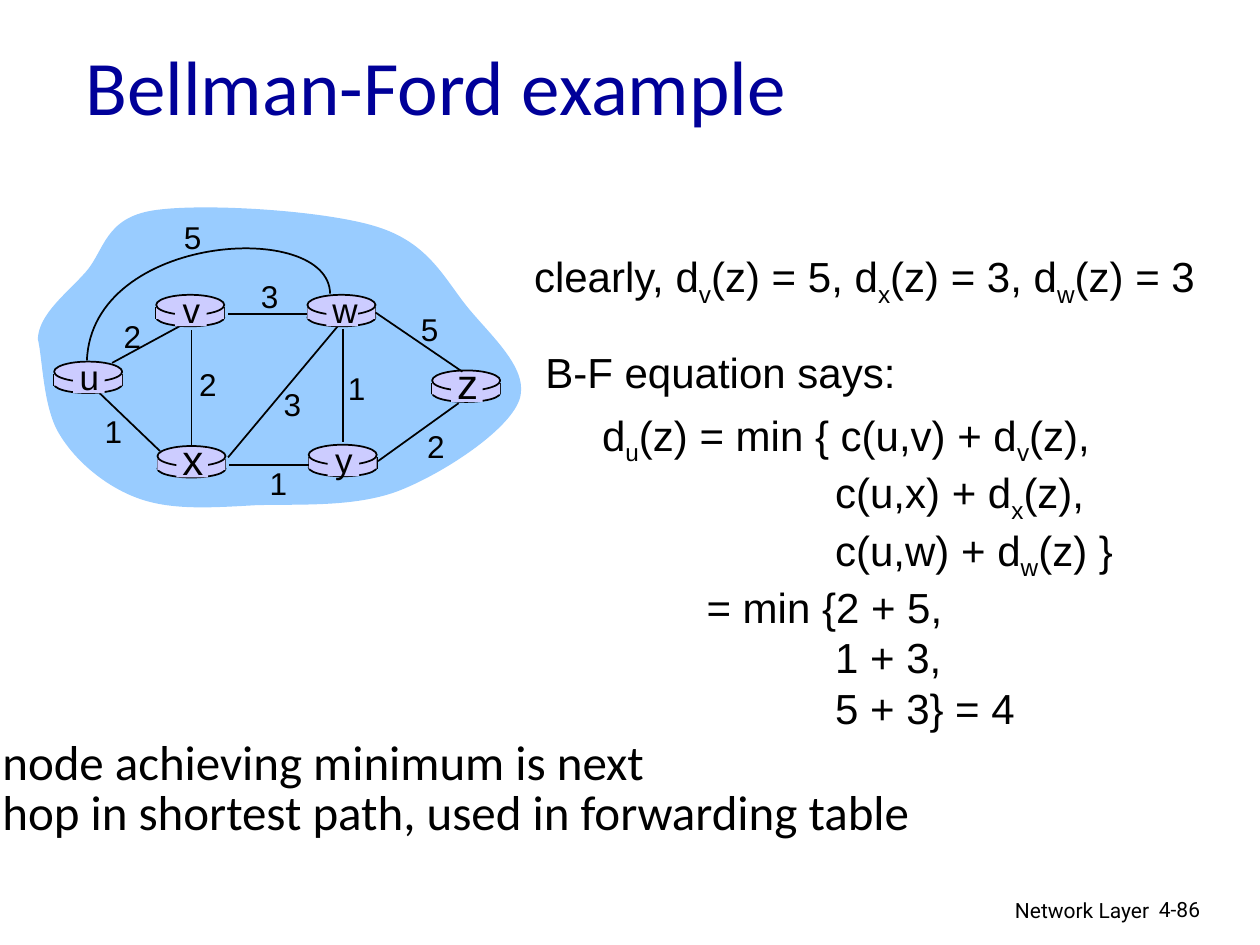
from itertools import chain

from lxml import etree
from pptx import Presentation
from pptx.dml.color import RGBColor
from pptx.enum import shapes, text
from pptx.oxml.ns import qn
from pptx.util import Inches, Pt

BLACK = RGBColor(0x00, 0x00, 0x00)
TITLE_BLUE = RGBColor(0x00, 0x00, 0x99)
CLOUD_BLUE = RGBColor(0x99, 0xCC, 0xFF)
ROUTER_LILAC = RGBColor(0xCC, 0xCC, 0xFF)

CLOUD_START = (0, 1.09)
CLOUD_CURVES = [
    ((0.01, 0.89), (0.23, 0.73), (0.38, 0.56)),
    ((0.53, 0.39), (0.53, 0.13), (0.92, 0.07)),
    ((1.31, 0.01), (2.28, 0.07), (2.69, 0.2)),
    ((3.11, 0.33), (3.23, 0.62), (3.42, 0.85)),
    ((3.61, 1.08), (3.91, 1.34), (3.82, 1.58)),
    ((3.73, 1.82), (3.23, 2.15), (2.88, 2.29)),
    ((2.53, 2.43), (2.07, 2.4), (1.73, 2.41)),
    ((1.38, 2.43), (1.07, 2.45), (0.81, 2.36)),
    ((0.55, 2.27), (0.31, 2.07), (0.18, 1.86)),
    ((0.04, 1.65), (0.04, 1.25), (0, 1.09)),
]
U_TO_W_START = (2.32, 0.73)
U_TO_W_CURVE = [((2.31, 0.14), (0.43, 0.25), (0.39, 1.26))]
U_TO_V = (0.59, 1.28, 1.18, 0.96)
LINKS = [
    (2.42, 1.01, 2.42, 1.91),
    (1.22, 1.02, 1.22, 1.95),
    (1.51, 2.03, 2.38, 0.99),
    (2.7, 2.06, 3.34, 1.6),
    (2.15, 2.09, 1.52, 2.09),
    (0.97, 1.98, 0.49, 1.52),
    (2.14, 0.89, 1.51, 0.89),
    (3.37, 1.35, 2.68, 0.88),
]
ROUTERS = [
    ("u", 0.13, 1.27, 20),
    ("y", 2.15, 1.93, 20),
    ("x", 0.95, 1.94, 24),
    ("w", 2.14, 0.74, 20),
    ("v", 0.94, 0.74, 20),
    ("z", 3.13, 1.34, 24),
]
COSTS = [
    ("2", 0.58, 0.87), ("2", 1.18, 1.25), ("1", 0.43, 1.62), ("3", 1.85, 1.41),
    ("1", 1.74, 2.03), ("1", 2.36, 1.28), ("2", 2.99, 1.74), ("5", 2.94, 0.81),
    ("3", 1.67, 0.55), ("5", 1.06, 0.08),
]
EQUATION = [
    (0, ["d", "u", "(z) = min { c(u,v) + d", "v", "(z),"]),
    (1.85, ["c(u,x) + d", "x", "(z),"]),
    (1.85, ["c(u,w) + d", "w", "(z) }"]),
    (0.83, ["= min {2 + 5,"]),
    (1.85, ["1 + 3,"]),
    (1.85, ["5 + 3} = 4"]),
]


def set_font(paragraph, name, size, color=BLACK):
    paragraph.font.name = name
    paragraph.font.size = Pt(size)
    paragraph.font.color.rgb = color


def add_text(slide, box, lines, font, size, align=text.PP_ALIGN.LEFT, wrap=True, spacing=None):
    frame = slide.shapes.add_textbox(*map(Inches, box)).text_frame
    frame.word_wrap = wrap
    for number, (indent, pieces) in enumerate(lines):
        paragraph = frame.add_paragraph() if number else frame.paragraphs[0]
        paragraph.alignment = align
        if spacing:
            paragraph.line_spacing = spacing
        if indent:
            properties = paragraph._p.get_or_add_pPr()
            properties.set("marL", str(Inches(indent)))
            properties.set("indent", "0")
        set_font(paragraph, font, size)
        for position, piece in enumerate(pieces):
            run = paragraph.add_run()
            run.text = piece
            if position % 2:
                run._r.get_or_add_rPr().set("baseline", "-25000")


def add_link(slide, x1, y1, x2, y2):
    link = slide.shapes.add_connector(
        shapes.MSO_CONNECTOR.STRAIGHT, Inches(x1), Inches(y1), Inches(x2), Inches(y2))
    link.line.color.rgb = BLACK
    link.line.width = Pt(1)
    etree.SubElement(link._element.spPr, qn("a:effectLst"))


def style(shape, fill=None, outlined=False):
    shape.shadow.inherit = False
    if fill is None:
        shape.fill.background()
    else:
        shape.fill.solid()
        shape.fill.fore_color.rgb = fill
    if outlined:
        shape.line.color.rgb = BLACK
        shape.line.width = Pt(1)
    else:
        shape.line.fill.background()


def add_curve(slide, left, top, start, curves, close):
    points = [(Inches(left + x), Inches(top + y)) for x, y in chain([start], *curves)]
    builder = slide.shapes.build_freeform(*points[0])
    builder.add_line_segments(points[1:], close=close)
    curve = builder.convert_to_shape()
    segments = list(curve._element.iter(qn("a:lnTo")))
    for first, second, third in zip(segments[::3], segments[1::3], segments[2::3]):
        bezier = etree.Element(qn("a:cubicBezTo"))
        first.addprevious(bezier)
        for segment in (first, second, third):
            bezier.append(segment[0])
            segment.getparent().remove(segment)
    return curve


def add_part(slide, kind, box, outlined=False):
    style(slide.shapes.add_shape(kind, *map(Inches, box)), ROUTER_LILAC, outlined)


def draw_router(slide, left, top, width=0.54):
    oval, rectangle = shapes.MSO_SHAPE.OVAL, shapes.MSO_SHAPE.RECTANGLE
    add_part(slide, oval, (left, top + 0.11, width, 0.14), True)
    for side in (left, left + width):
        add_link(slide, side, top + 0.1, side, top + 0.19)
    add_part(slide, rectangle, (left, top + 0.1, width, 0.09))
    add_part(slide, oval, (left, top, width, 0.16), True)


def label_router(slide, left, top, name, size):
    add_part(slide, shapes.MSO_SHAPE.RECTANGLE, (left + 0.15, top + 0.02, 0.25, 0.23))
    rise, height = (0.15, 0.5) if size == 24 else (0.1, 0.44)
    add_text(slide, (left + 0.1, top - rise, 0.36, height),
             [(0, [name])], "Arial", size, text.PP_ALIGN.CENTER, wrap=False)


def draw_network(slide, left, top):
    style(add_curve(slide, left, top, CLOUD_START, CLOUD_CURVES, True), CLOUD_BLUE)

    def place_link(x1, y1, x2, y2):
        add_link(slide, left + x1, top + y1, left + x2, top + y2)

    place_link(*U_TO_V)
    for _, x, y, _ in ROUTERS:
        draw_router(slide, left + x, top + y)
    for link in LINKS:
        place_link(*link)
    style(add_curve(slide, left, top, U_TO_W_START, U_TO_W_CURVE, False), outlined=True)
    for name, x, y, size in ROUTERS:
        label_router(slide, left + x, top + y, name, size)
    for cost, x, y in COSTS:
        add_text(slide, (left + x, top + y, 0.34, 0.4), [(0, [cost])],
                 "Arial", 18, text.PP_ALIGN.CENTER, wrap=False)


def write_title(slide, left, top, width, height):
    title = slide.shapes.title
    title.left, title.top = Inches(left), Inches(top)
    title.width, title.height = Inches(width), Inches(height)
    title.text_frame.text = "Bellman-Ford example"
    title.text_frame.vertical_anchor = text.MSO_ANCHOR.MIDDLE
    paragraph = title.text_frame.paragraphs[0]
    paragraph.alignment = text.PP_ALIGN.LEFT
    set_font(paragraph, "Calibri", 44, TITLE_BLUE)


def write_derivation(slide, left, top):
    known = ["clearly, d", "v", "(z) = 5, d", "x", "(z) = 3, d", "w", "(z) = 3"]
    add_text(slide, (left, top, 5.6, 0.56), [(0, known)], "Arial", 24)
    add_text(slide, (left + 0.54, top + 1.26, 4.6, 2.67), EQUATION, "Arial", 24)
    add_text(slide, (left + 0.09, top + 0.76, 2.98, 0.5),
             [(0, ["B-F equation says:"])], "Arial", 24)


def write_conclusion(slide, left, top):
    lines = ["node achieving minimum is next", "hop in shortest path, used in forwarding table"]
    add_text(slide, (left, top, 8.58, 0.9), [(0, [line]) for line in lines],
             "Calibri", 28, spacing=0.85)


def write_footer(slide, left, top):
    add_text(slide, (left, top, 3.17, 0.31), [(0, ["Network Layer"])],
             "Roboto", 12, text.PP_ALIGN.RIGHT)
    add_text(slide, (left + 3.05, top, 0.74, 0.3), [(0, ["4-86"])], "Roboto", 12)


def main():
    deck = Presentation()
    deck.slide_width, deck.slide_height = Inches(10), Inches(7.5)
    slide = deck.slides.add_slide(deck.slide_layouts[5])
    write_footer(slide, 6.05, 7.07)
    write_title(slide, 0.58, 0.19, 8.5, 0.96)
    draw_network(slide, 0.3, 1.6)
    write_derivation(slide, 4.14, 1.94)
    write_conclusion(slide, -0.08, 5.83)
    deck.save("out.pptx")


if __name__ == "__main__":
    main()
